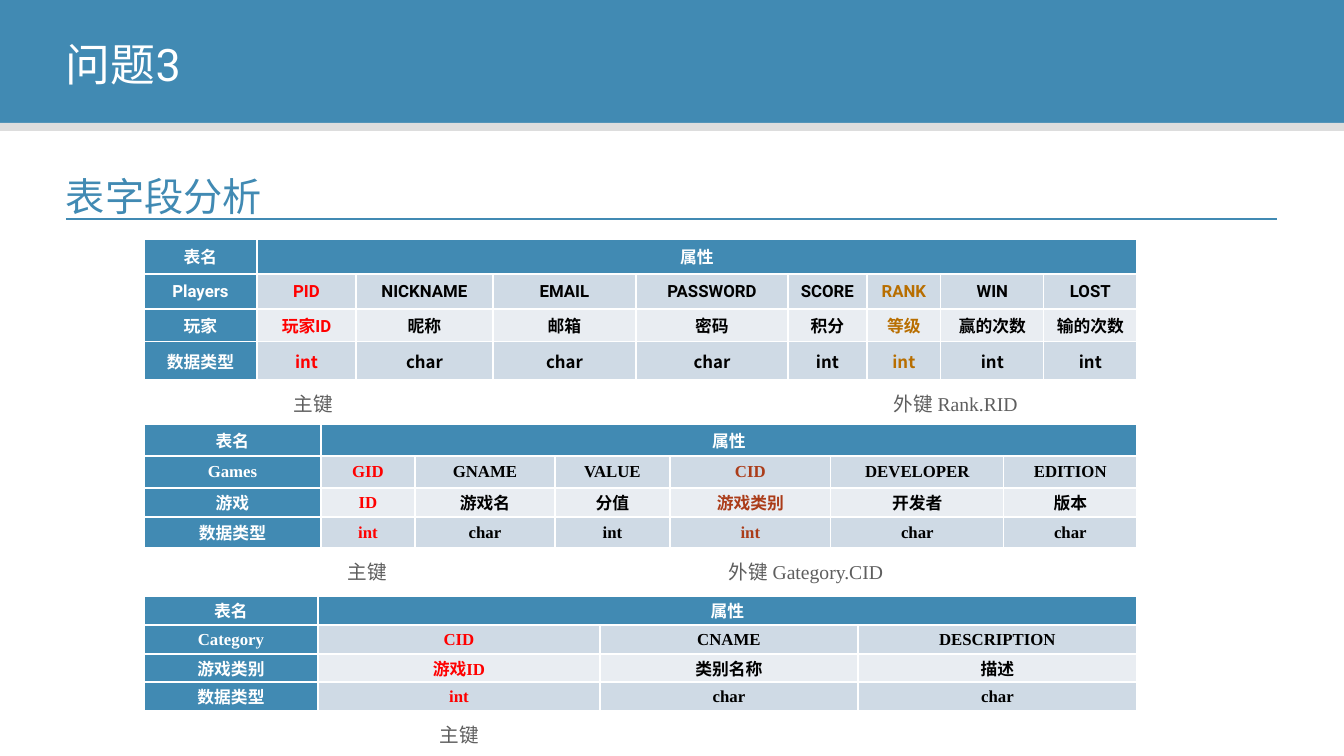
from lxml.etree import SubElement
from pptx import Presentation
from pptx.dml.color import RGBColor
from pptx.enum.shapes import MSO_CONNECTOR, MSO_SHAPE
from pptx.enum.text import MSO_ANCHOR as ANCHOR, PP_ALIGN as ALIGN
from pptx.oxml.ns import qn
from pptx.util import Pt

SLIDE_W, SLIDE_H = 1344, 756
SCALE = 12192000 / SLIDE_W
SERIF, SANS, CJK = "Times New Roman", "Roboto", "Noto Sans CJK SC"
COLORS = {
    "blue": "418AB3", "bar": "DDDDDD", "white": "FFFFFF", "black": "000000",
    "band": "CFDAE5", "pale": "E9EDF2", "label": "5E5E5E",
    "key": "FF0000", "rank": "B86E00", "category": "AB3C19",
}
TABLE_LEFT, LABEL_H = 144, 38
PLAYERS = {
    "top": 239, "rows": [35, 35, 33, 38], "font": SANS, "type_font": CJK,
    "names": ["Players", "玩家"], "name_width": 113,
    "fields": [
        (99, "PID", "玩家ID", "int", "key"),
        (137, "NICKNAME", "昵称", "char", "black"),
        (143, "EMAIL", "邮箱", "char", "black"),
        (152, "PASSWORD", "密码", "char", "black"),
        (79, "SCORE", "积分", "int", "black"),
        (74, "RANK", "等级", "int", "rank"),
        (103, "WIN", "赢的次数", "int", "black"),
        (93, "LOST", "输的次数", "int", "black"),
    ],
    "labels": [(284, 62, "主键"), (884, 175, "外键 Rank.RID")],
}
GAMES = {
    "top": 424, "rows": [32, 32, 29, 31], "font": SERIF, "type_font": SERIF,
    "names": ["Games", "游戏"], "name_width": 177,
    "fields": [
        (94, "GID", "ID", "int", "key"),
        (140, "GNAME", "游戏名", "char", "black"),
        (115, "VALUE", "分值", "int", "black"),
        (161, "CID", "游戏类别", "int", "category"),
        (173, "DEVELOPER", "开发者", "char", "black"),
        (133, "EDITION", "版本", "char", "black"),
    ],
    "labels": [(338, 62, "主键"), (719, 205, "外键 Gategory.CID")],
}
CATEGORY = {
    "top": 596, "rows": [29, 29, 28, 29], "font": SERIF, "type_font": SERIF,
    "names": ["Category", "游戏类别"], "name_width": 174,
    "fields": [
        (282, "CID", "游戏ID", "int", "key"),
        (258, "CNAME", "类别名称", "char", "black"),
        (279, "DESCRIPTION", "描述", "char", "black"),
    ],
    "labels": [(430, 62, "主键")],
}


def px(length):
    return round(length * SCALE)


def rgb(color):
    return RGBColor.from_string(COLORS[color])


def add_run(paragraph, text, size, font, color, bold=False):
    run = paragraph.add_run()
    run.text = text
    run.font.size = Pt(size)
    run.font.bold = bold
    run.font.color.rgb = rgb(color)
    run.font.name = font
    SubElement(run.font._element, qn("a:ea")).set("typeface", CJK)


def add_text(slide, box, runs, anchor=ANCHOR.TOP, align=ALIGN.JUSTIFY, spacing=1.3):
    frame = slide.shapes.add_textbox(*map(px, box)).text_frame
    frame.word_wrap = True
    frame.vertical_anchor = anchor
    paragraph = frame.paragraphs[0]
    paragraph.alignment = align
    paragraph.line_spacing = spacing
    for run in runs:
        add_run(paragraph, *run)


def add_bar(slide, box, color):
    bar = slide.shapes.add_shape(MSO_SHAPE.RECTANGLE, *map(px, box))
    bar.shadow.inherit = False
    bar.fill.solid()
    bar.fill.fore_color.rgb = rgb(color)
    bar.line.fill.background()


def add_banner(slide, left, top, width, height):
    rim = 8
    add_bar(slide, (left, top, width, height - rim), "blue")
    add_bar(slide, (left, top + height - rim, width, rim), "bar")
    add_text(slide, (left + 56, top + 33, 1107, 62),
             [("问题", 32, SERIF, "white"), ("3", 32, SANS, "white")],
             ANCHOR.MIDDLE, ALIGN.LEFT, 1.0)


def add_heading(slide, left, top, width, height):
    add_text(slide, (left - 10, top, 538, height), [("表字段分析", 28, SERIF, "blue")])
    bottom = top + height
    rule = slide.shapes.add_connector(
        MSO_CONNECTOR.STRAIGHT, *map(px, (left, bottom, left + width, bottom)))
    rule.line.color.rgb = rgb("blue")
    rule.line.width = Pt(1.5)
    SubElement(rule._element.spPr, qn("a:effectLst"))


def fill_cell(cell, text, font, color, fill):
    cell.margin_left = cell.margin_right = px(7)
    cell.margin_top = cell.margin_bottom = 0
    cell.vertical_anchor = ANCHOR.MIDDLE
    properties = cell._tc.get_or_add_tcPr()
    for side in ("lnL", "lnR", "lnT", "lnB"):
        border = SubElement(properties, qn(f"a:{side}"), w=str(Pt(1)))
        paint = SubElement(border, qn("a:solidFill"))
        SubElement(paint, qn("a:srgbClr"), val=COLORS["white"])
    cell.fill.solid()
    cell.fill.fore_color.rgb = rgb(fill)
    if text:
        paragraph = cell.text_frame.paragraphs[0]
        paragraph.alignment = ALIGN.CENTER
        add_run(paragraph, text, 12, font, color, True)


def add_entity(slide, left, entity):
    top, heights, fields = entity["top"], entity["rows"], entity["fields"]
    widths = [entity["name_width"]] + [field[0] for field in fields]
    box = (left, top, sum(widths), sum(heights))
    table = slide.shapes.add_table(len(heights), len(widths), *map(px, box)).table
    table.first_row = table.horz_banding = False
    for column, width in zip(table.columns, widths):
        column.width = px(width)
    for row, height in zip(table.rows, heights):
        row.height = px(height)

    row_names = ["表名", *entity["names"], "数据类型"]
    fills = ["blue", "band", "pale", "band"]
    for row, (name, fill) in enumerate(zip(row_names, fills)):
        fill_cell(table.cell(row, 0), name, entity["font"], "white", "blue")
        font = entity["type_font"] if row == 3 else entity["font"]
        for column, field in enumerate(fields, 1):
            if row:
                text, color = field[row], field[-1]
            else:
                text, color = "属性" if column == 1 else "", "white"
            fill_cell(table.cell(row, column), text, font, color, fill)
    table.cell(0, 1).merge(table.cell(0, len(fields)))

    for label_left, width, text in entity["labels"]:
        add_text(slide, (label_left, top + sum(heights), width, LABEL_H),
                 [(text, 14, SERIF, "label")])


def main():
    deck = Presentation()
    deck.slide_width, deck.slide_height = px(SLIDE_W), px(SLIDE_H)
    slide = deck.slides.add_slide(deck.slide_layouts[6])
    add_banner(slide, 0, 0, SLIDE_W, 131)
    add_heading(slide, 66, 153, 1211, 66)
    for entity in (PLAYERS, GAMES, CATEGORY):
        add_entity(slide, TABLE_LEFT, entity)
    deck.save("out.pptx")


if __name__ == "__main__":
    main()
